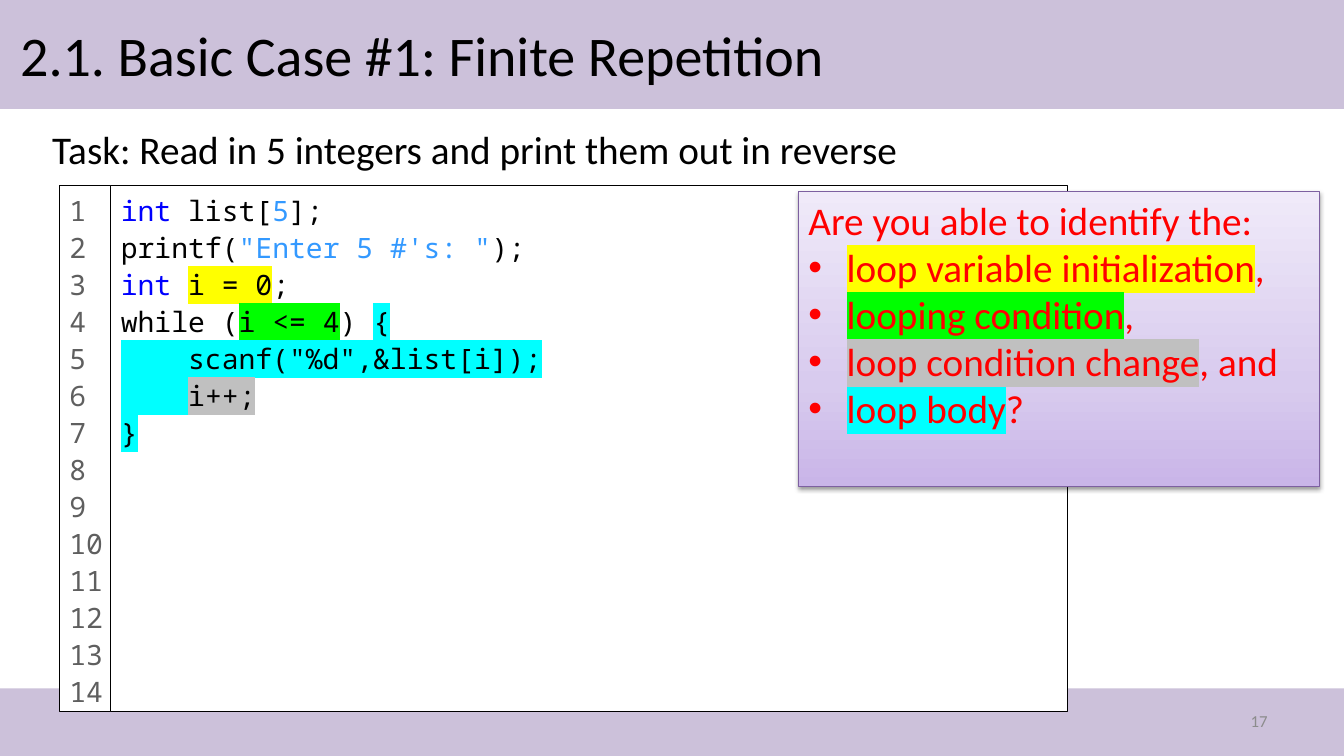
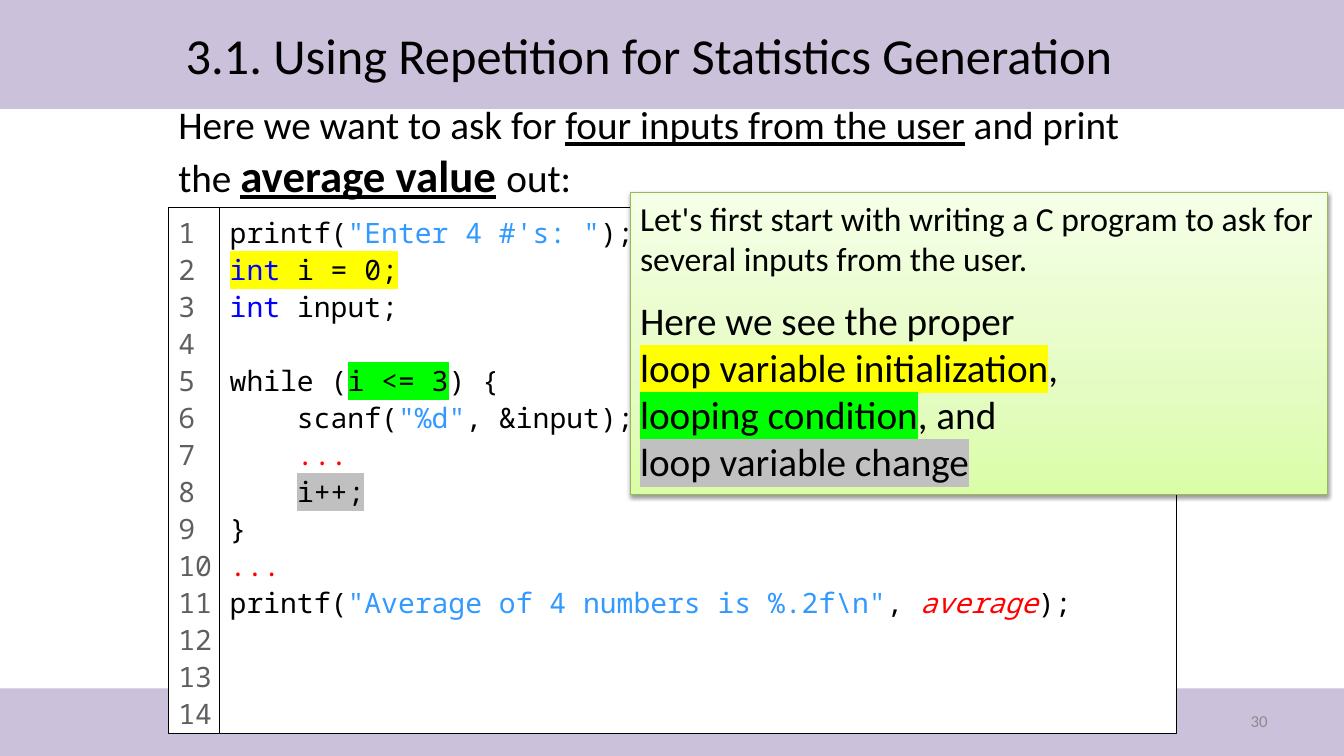
from copy import deepcopy
from dataclasses import dataclass
from typing import NamedTuple, Optional

from lxml import etree
from pptx import Presentation
from pptx.dml.color import RGBColor
from pptx.enum.shapes import MSO_SHAPE
from pptx.enum.text import MSO_ANCHOR, PP_ALIGN
from pptx.oxml.ns import qn
from pptx.util import Pt

RECT = MSO_SHAPE.RECTANGLE
TOP, MIDDLE = MSO_ANCHOR.TOP, MSO_ANCHOR.MIDDLE
LEFT, RIGHT = PP_ALIGN.LEFT, PP_ALIGN.RIGHT

# Scale: 100 px to the inch
EMU_PER_PX = 9144
SLIDE_W, SLIDE_H = 1333, 750
GUTTER_W, CODE_W, CODE_H, CODE_LINES = 51, 949, 522, 14
BULLET_INDENT = 38
TITLE_ONLY = 5

# Colours
BLACK = RGBColor(0x00, 0x00, 0x00)
WHITE = RGBColor(0xFF, 0xFF, 0xFF)
LAVENDER = RGBColor(0xCC, 0xC1, 0xDA)
PAGE_GRAY = RGBColor(0x8C, 0x8C, 0x8C)
LINE_NO_GRAY = RGBColor(0x5F, 0x5F, 0x5F)
KEYWORD_BLUE = RGBColor(0x00, 0x00, 0xFF)
LITERAL_BLUE = RGBColor(0x33, 0x99, 0xFF)
RED = RGBColor(0xFF, 0x00, 0x00)
# Highlights: one per part of a loop
INIT = RGBColor(0xFF, 0xFF, 0x00)
CONDITION = RGBColor(0x00, 0xFF, 0x00)
CHANGE = RGBColor(0xC0, 0xC0, 0xC0)
BODY = RGBColor(0x00, 0xFF, 0xFF)


class Box(NamedTuple):
    left: int
    top: int
    width: int
    height: int

    def emu(self) -> list[int]:
        return [px * EMU_PER_PX for px in self]


class Span(NamedTuple):
    text: str
    color: Optional[RGBColor] = None
    mark: Optional[RGBColor] = None
    size: Optional[int] = None
    bold: bool = False
    italic: bool = False
    underline: bool = False


class Para(NamedTuple):
    spans: tuple[Span, ...] = ()
    bullet: bool = False
    space_before: int = 0


@dataclass(frozen=True)
class TextStyle:
    size: int
    color: RGBColor = BLACK
    font: str = "Calibri"
    align: int = LEFT
    anchor: int = TOP
    line_spacing: Optional[float] = None


@dataclass(frozen=True)
class Palette:
    stops: tuple[RGBColor, RGBColor, RGBColor]
    line: RGBColor


@dataclass(frozen=True)
class Callout:
    box: Box
    palette: Palette
    style: TextStyle
    paras: tuple[Para, ...]


@dataclass(frozen=True)
class Lesson:
    title: str
    title_box: Box
    title_size: int
    task: Para
    task_box: Box
    code_left: int
    code_top: int
    code: tuple[Para, ...]
    callout: Callout
    page: str


PURPLE = Palette((RGBColor(0xC9, 0xB5, 0xE8), RGBColor(0xD8, 0xCB, 0xEE),
                  RGBColor(0xF0, 0xEA, 0xF9)), RGBColor(0x7D, 0x60, 0xA0))
GREEN = Palette((RGBColor(0xDA, 0xFD, 0xA7), RGBColor(0xE4, 0xFC, 0xC2),
                 RGBColor(0xF5, 0xFF, 0xE7)), RGBColor(0x98, 0xB9, 0x55))
STOP_POSITIONS = (0, 0.35, 1)

TASK_STYLE = TextStyle(28)
PAGE_STYLE = TextStyle(12, PAGE_GRAY, align=RIGHT, anchor=MIDDLE)
CODE_STYLE = TextStyle(20, font="Noto Sans Mono", line_spacing=1.1)
LINE_NO_STYLE = TextStyle(20, LINE_NO_GRAY, "Noto Sans Mono", line_spacing=1.1)
PAGE_BOX = Box(956, 695, 311, 40)
BANDS = (Box(0, 0, SLIDE_W, 108), Box(0, 683, SLIDE_W, 67))
LINE_BREAK = Span("\v")


def line(*spans: Span) -> Para:
    return Para(spans)


def bullet(*spans: Span) -> Para:
    return Para(spans, bullet=True)


# Text
def add_span(paragraph, span: Span, style: TextStyle) -> None:
    if span == LINE_BREAK:
        paragraph.add_line_break()
        return
    run = paragraph.add_run()
    run.text = span.text
    font = run.font
    font.size = Pt(span.size or style.size)
    font.color.rgb = span.color or style.color
    font.bold, font.italic, font.underline = span.bold, span.italic, span.underline
    if span.mark:
        highlight = etree.SubElement(run._r.get_or_add_rPr(), qn("a:highlight"))
        etree.SubElement(highlight, qn("a:srgbClr"), val=str(span.mark))
    font.name = style.font


def add_bullet(paragraph) -> None:
    properties = paragraph._p.get_or_add_pPr()
    indent = BULLET_INDENT * EMU_PER_PX
    properties.set("marL", str(indent))
    properties.set("indent", str(-indent))
    etree.SubElement(properties, qn("a:buFont"), typeface="Arial")
    etree.SubElement(properties, qn("a:buChar"), char="•")


def write(frame, paras: tuple[Para, ...], style: TextStyle) -> None:
    frame.word_wrap = True
    frame.vertical_anchor = style.anchor
    for index, para in enumerate(paras):
        paragraph = frame.add_paragraph() if index else frame.paragraphs[0]
        if para.bullet:
            add_bullet(paragraph)
        paragraph.alignment = style.align
        if style.line_spacing:
            paragraph.line_spacing = style.line_spacing
        if para.space_before:
            paragraph.space_before = Pt(para.space_before)
        for span in para.spans:
            add_span(paragraph, span, style)
        if not para.spans:  # an empty code line keeps the code height
            end = etree.SubElement(paragraph._p, qn("a:endParaRPr"), sz=str(style.size * 100))
            etree.SubElement(end, qn("a:latin"), typeface=style.font)


def add_text(slide, box: Box, paras: tuple[Para, ...], style: TextStyle) -> None:
    write(slide.shapes.add_textbox(*box.emu()).text_frame, paras, style)


# Shapes
def add_panel(slide, box: Box, fill: RGBColor, outline: Optional[RGBColor] = None):
    panel = slide.shapes.add_shape(RECT, *box.emu())
    panel.shadow.inherit = False
    panel.fill.solid()
    panel.fill.fore_color.rgb = fill
    if outline is None:
        panel.line.fill.background()
    else:
        panel.line.color.rgb = outline
        panel.line.width = Pt(0.75)
    return panel


def add_code(slide, left: int, top: int, code: tuple[Para, ...]) -> None:
    listing = add_panel(slide, Box(left + GUTTER_W, top, CODE_W, CODE_H), WHITE, BLACK)
    write(listing.text_frame, code, CODE_STYLE)
    gutter = add_panel(slide, Box(left, top, GUTTER_W, CODE_H), WHITE, BLACK)
    gutter.text_frame.margin_right = 0
    numbers = tuple(line(Span(str(n))) for n in range(1, CODE_LINES + 1))
    write(gutter.text_frame, numbers, LINE_NO_STYLE)


def add_callout(slide, callout: Callout) -> None:
    panel = add_panel(slide, callout.box, WHITE, callout.palette.line)
    fill = panel.fill
    fill.gradient()
    fill.gradient_angle = 90
    properties = panel._element.spPr
    stop_list = properties.find(".//" + qn("a:gsLst"))
    stop_list.insert(1, deepcopy(stop_list[0]))
    for stop, position, color in zip(fill.gradient_stops, STOP_POSITIONS, callout.palette.stops):
        stop.position = position
        stop.color.rgb = color
    shadow = etree.SubElement(properties.find(qn("a:effectLst")), qn("a:outerShdw"),
                              blurRad="40000", dist="20000", dir="5400000", rotWithShape="0")
    shade = etree.SubElement(shadow, qn("a:srgbClr"), val=str(BLACK))
    etree.SubElement(shade, qn("a:alpha"), val="38000")
    write(panel.text_frame, callout.paras, callout.style)


# Slides
def add_master_bands(prs, slide) -> None:
    """Draw the bands once and move them behind everything on the master."""
    for box in BANDS:
        band = add_panel(slide, box, LAVENDER)
        prs.slide_master.shapes._spTree.insert(2, band._element)


def add_lesson(slide, lesson: Lesson) -> None:
    title = slide.shapes.title
    title.left, title.top, title.width, title.height = lesson.title_box.emu()
    write(title.text_frame, (line(Span(lesson.title)),),
          TextStyle(lesson.title_size, anchor=MIDDLE))
    add_text(slide, lesson.task_box, (lesson.task,), TASK_STYLE)
    add_text(slide, PAGE_BOX, (line(Span(lesson.page)),), PAGE_STYLE)
    add_code(slide, lesson.code_left, lesson.code_top, lesson.code)
    add_callout(slide, lesson.callout)


# Content
FINITE_REPETITION = Lesson(
    title="2.1. Basic Case #1: Finite Repetition",
    title_box=Box(10, 8, 1200, 92),
    title_size=40,
    task=line(Span("Task: Read in 5 integers and print them out in reverse")),
    task_box=Box(42, 119, 963, 79),
    code_left=59,
    code_top=184,
    code=(
        line(Span("int", KEYWORD_BLUE), Span(" list["), Span("5", LITERAL_BLUE), Span("];")),
        line(Span("printf("), Span("\"Enter 5 #'s: \"", LITERAL_BLUE), Span(");")),
        line(Span("int ", KEYWORD_BLUE), Span("i = 0", mark=INIT), Span(";")),
        line(Span("while ("), Span("i <= 4", mark=CONDITION), Span(") "), Span("{", mark=BODY)),
        line(Span("    scanf(\"%d\",&list[i]);", mark=BODY)),
        line(Span("    ", mark=BODY), Span("i++;", mark=CHANGE)),
        line(Span("}", mark=BODY)),
    ),
    callout=Callout(Box(792, 190, 517, 293), PURPLE, TextStyle(28, RED), (
        line(Span("Are you able to identify the:")),
        bullet(Span("loop variable initialization", mark=INIT), Span(",")),
        bullet(Span("looping condition", mark=CONDITION), Span(",")),
        bullet(Span("loop condition change", mark=CHANGE), Span(", and")),
        bullet(Span("loop body", mark=BODY), Span("?")),
    )),
    page="17",
)

STATISTICS = Lesson(
    title="3.1. Using Repetition for Statistics Generation",
    title_box=Box(174, 8, 977, 92),
    title_size=36,
    task=line(Span("Here we want to ask for "), Span("four inputs from the user", underline=True),
              Span(" and print the "),
              Span("average value", size=32, bold=True, underline=True),
              Span(" ", size=32, bold=True), Span("out:")),
    task_box=Box(167, 95, 983, 89),
    code_left=167,
    code_top=206,
    code=(
        line(Span("printf("), Span("\"Enter 4 #'s: \"", LITERAL_BLUE), Span(");")),
        line(Span("int", KEYWORD_BLUE, INIT), Span(" i = 0;", mark=INIT)),
        line(Span("int", KEYWORD_BLUE), Span(" input;")),
        line(),
        line(Span("while ("), Span("i <= 3", mark=CONDITION), Span(") {")),
        line(Span("    scanf("), Span("\"%d\"", LITERAL_BLUE), Span(", &input);")),
        line(Span("    ...", RED)),
        line(Span("    "), Span("i++;", mark=CHANGE)),
        line(Span("}")),
        line(Span("...", RED)),
        line(Span("printf("), Span("\"Average of 4 numbers is %.2f\\n\"", LITERAL_BLUE),
             Span(", "), Span("average", RED, italic=True), Span(");")),
    ),
    callout=Callout(Box(625, 191, 692, 300), GREEN, TextStyle(28), (
        line(Span("Let's first start with writing a C program to ask for several inputs "
                  "from the user.", size=24)),
        Para((Span("Here we see the proper "), LINE_BREAK,
              Span("loop variable initialization", mark=INIT), Span(",")), space_before=13),
        line(Span("looping condition", mark=CONDITION), Span(", and"), LINE_BREAK,
             Span("loop variable change", mark=CHANGE)),
    )),
    page="30",
)


def main() -> None:
    prs = Presentation()
    prs.slide_width, prs.slide_height = SLIDE_W * EMU_PER_PX, SLIDE_H * EMU_PER_PX
    for index, lesson in enumerate((FINITE_REPETITION, STATISTICS)):
        slide = prs.slides.add_slide(prs.slide_layouts[TITLE_ONLY])
        if index == 0:
            add_master_bands(prs, slide)
        add_lesson(slide, lesson)
    prs.save("out.pptx")


if __name__ == "__main__":
    main()
